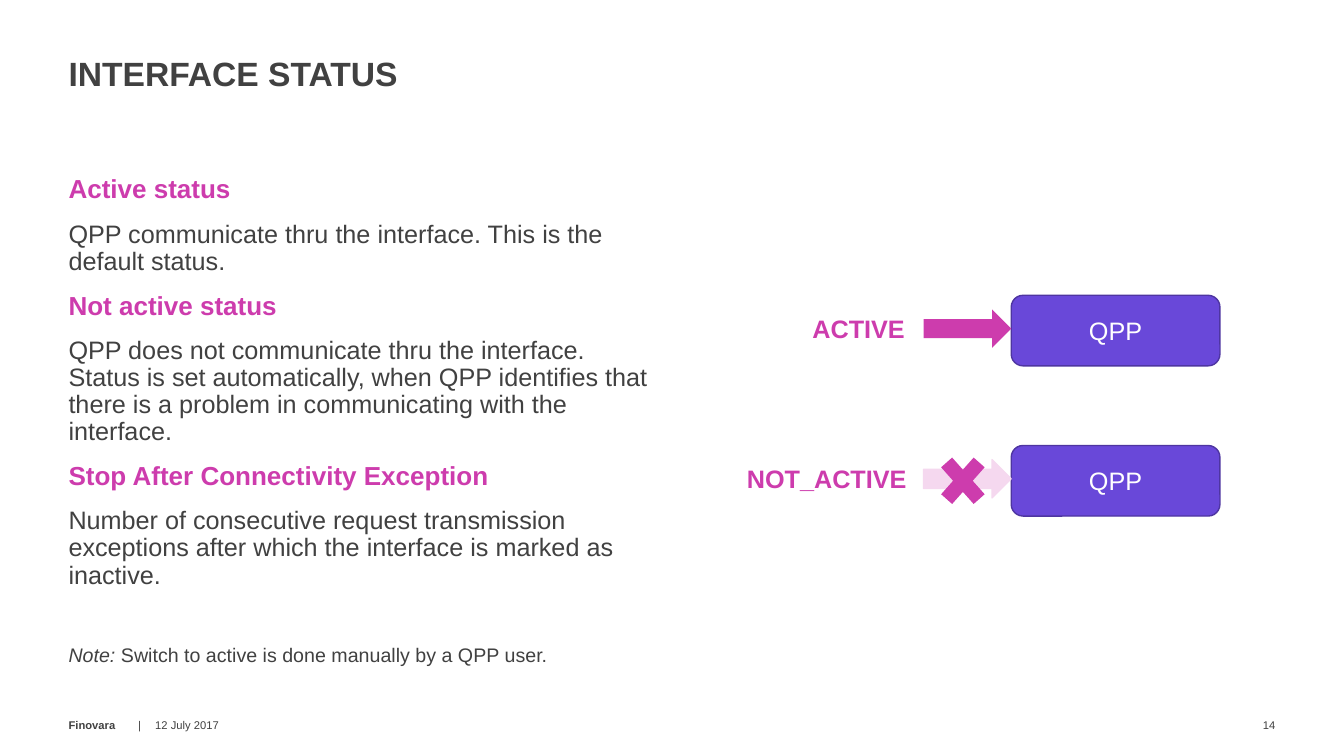
from pptx import Presentation
from pptx.dml.color import RGBColor
from pptx.enum import shapes, text
from pptx.util import Inches, Pt

PINK, DARK, PURPLE, PALE = "CD3CAD", "414141", "6948D9", "F5D8EF"

prs = Presentation()
prs.slide_width, prs.slide_height = Inches(13.33), Inches(7.5)
s = prs.slides.add_slide(prs.slide_layouts[6])


def write(sp, content, size=18, color=DARK, bold=False, italic=False, align="LEFT",
          anchor="TOP", inset=None, wrap=True, spacing=None, before=None, new=True):
    tf = sp.text_frame
    tf.word_wrap = wrap
    tf.vertical_anchor = getattr(text.MSO_ANCHOR, anchor)
    if inset is not None:
        tf.margin_left = tf.margin_right = tf.margin_top = tf.margin_bottom = Inches(inset)
    p = tf.paragraphs[-1]
    if new and p.runs:
        p = tf.add_paragraph()
    if new:
        p.alignment = getattr(text.PP_ALIGN, align)
        p.line_spacing = spacing
        p.space_before = None if before is None else Pt(before)
    r = p.add_run()
    r.text = content
    f = r.font
    f.name, f.size, f.bold, f.italic = "Arial", Pt(size), bold, italic
    f.color.rgb = RGBColor.from_string(color)


def shape(kind, x, y, w, h, fill, line=None):
    sp = s.shapes.add_shape(getattr(shapes.MSO_SHAPE, kind),
                            Inches(x), Inches(y), Inches(w), Inches(h))
    sp.shadow.inherit = False
    sp.fill.solid()
    sp.fill.fore_color.rgb = RGBColor.from_string(fill)
    if line:
        sp.line.color.rgb = RGBColor.from_string(line)
        sp.line.width = Pt(1)
    else:
        sp.line.fill.background()
    return sp


title = s.shapes.add_textbox(Inches(0.68), Inches(0.19), Inches(10.6), Inches(0.73))
write(title, "INTERFACE STATUS", size=24, bold=True, anchor="BOTTOM", inset=0, spacing=0.8)

body = s.shapes.add_textbox(Inches(0.68), Inches(1.75), Inches(5.87), Inches(4.99))
sections = [
    ("Active status", "QPP communicate thru the interface. This is the default status."),
    ("Not active status", "QPP does not communicate thru the interface. Status is set "
     "automatically, when QPP identifies that there is a problem in communicating "
     "with the interface."),
    ("Stop After Connectivity Exception", "Number of consecutive request transmission "
     "exceptions after which the interface is marked as inactive."),
]
for heading, detail in sections:
    write(body, heading, size=18.6, color=PINK, bold=True, inset=0, spacing=0.9, before=12)
    write(body, detail, inset=0, spacing=0.9, before=12)
write(body, "Note: ", size=14, italic=True, inset=0, spacing=0.9, before=40)
write(body, "Switch to active is done manually by a QPP user.", size=14, new=False)

rows = [
    (2.93, "ACTIVE", 7.96, 1.13, PINK, None),
    (4.42, "NOT_ACTIVE", 7.31, 1.86, PALE, PALE),
]
for y, status, x, w, fill, line in rows:
    box = shape("ROUNDED_RECTANGLE", 10.03, y, 2.07, 0.7, PURPLE, "4E35A1")
    write(box, "QPP", color="FFFFFF", align="CENTER", anchor="MIDDLE")
    shape("RIGHT_ARROW", 9.16, y + 0.14, 0.87, 0.38, fill, line)
    label = s.shapes.add_textbox(Inches(x), Inches(y + 0.13), Inches(w), Inches(0.4))
    write(label, status, color=PINK, bold=True, wrap=False)
shape("MATH_MULTIPLY", 9.24, 4.42, 0.62, 0.7, PINK)

footer = [
    (0.68, 0.65, "Finovara", True, "LEFT"),
    (1.37, 0.1, "|", False, "LEFT"),
    (1.54, 1.53, "12 July 2017", False, "LEFT"),
    (12.11, 0.54, "14", False, "RIGHT"),
]
for x, w, content, bold, align in footer:
    sp = s.shapes.add_textbox(Inches(x), Inches(6.99), Inches(w), Inches(0.4))
    write(sp, content, size=8, bold=bold, align=align, anchor="MIDDLE", inset=0)

prs.save("out.pptx")
